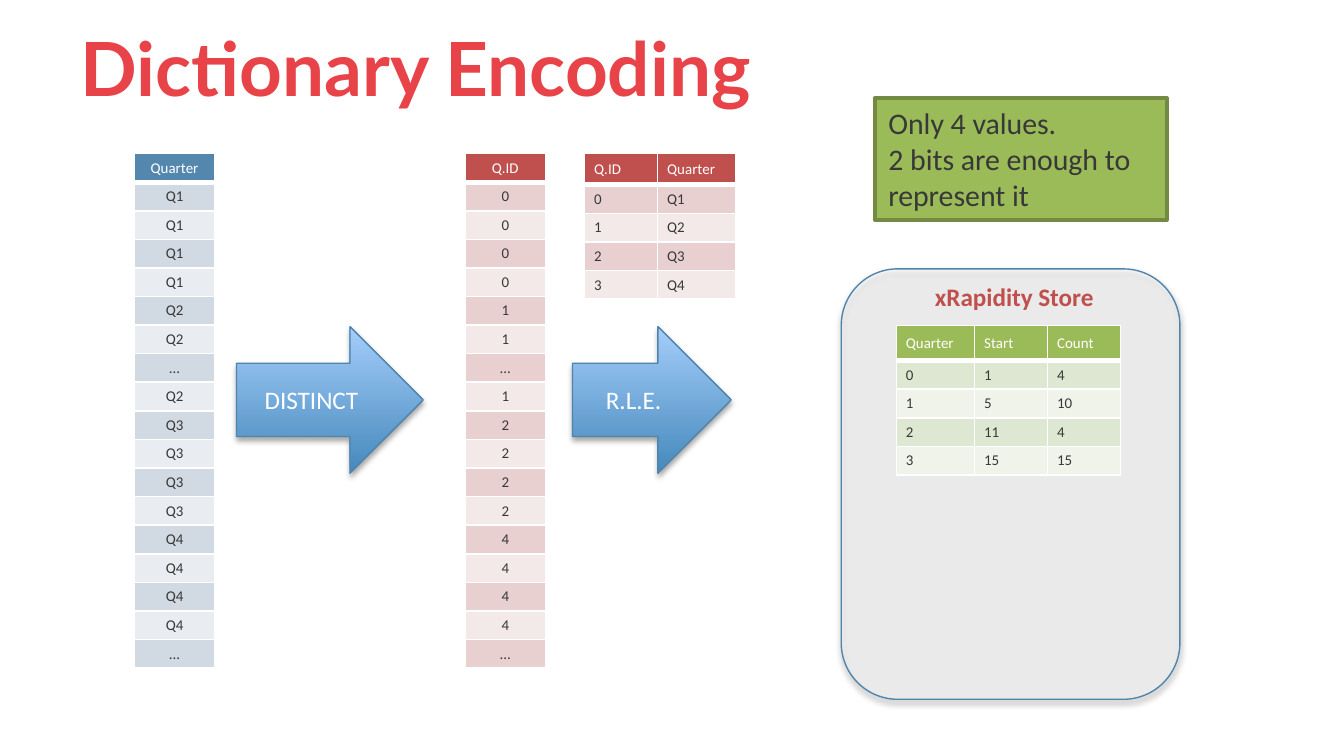
from lxml.etree import SubElement
from pptx import Presentation
from pptx.dml.color import RGBColor
from pptx.enum.shapes import MSO_SHAPE
from pptx.enum.text import MSO_ANCHOR, PP_ALIGN
from pptx.oxml.ns import qn
from pptx.util import Cm, Pt

WHITE, INK, RED, STEEL = "FFFFFF", "383838", "C0504D", "4F84AC"
# Header fill, then the fills of odd and even body rows
BLUE_BANDS = ("5387AE", "D1D9E3", "E9EDF2")
RED_BANDS = (RED, "E8D0D0", "F4E9E9")
GREEN_BANDS = ("9BBB59", "DEE7D1", "EFF3EA")
ROW_HEIGHT = 0.54


def rgb(color):
    return RGBColor.from_string(color)


def add_color(parent, color, alpha=None):
    clr = SubElement(parent, qn("a:srgbClr"), val=color)
    if alpha is not None:
        SubElement(clr, qn("a:alpha"), val=str(alpha * 1000))


class SlideBuilder:
    font = "Calibri"

    def __init__(self, slide):
        self.s = slide

    def format_text(self, tf, size, color, align=PP_ALIGN.LEFT, bold=False, font=None):
        for p in tf.paragraphs:
            p.alignment = align
            for r in p.runs:
                r.font.size, r.font.bold = Pt(size), bold
                r.font.name = font or self.font
                r.font.color.rgb = rgb(color)

    def title(self, text, x, y, w, h):
        sp = self.s.shapes.title
        sp.left, sp.top, sp.width, sp.height = Cm(x), Cm(y), Cm(w), Cm(h)
        tf = sp.text_frame
        tf.text = text
        tf.vertical_anchor = MSO_ANCHOR.MIDDLE
        self.format_text(tf, 40, "E84348", bold=True, font="Lato")

    def shape(self, kind, x, y, w, h, line, line_width):
        sp = self.s.shapes.add_shape(kind, Cm(x), Cm(y), Cm(w), Cm(h))
        sp.shadow.inherit = False
        sp.line.color.rgb = rgb(line)
        sp.line.width = Pt(line_width)
        return sp

    def drop_shadow(self, sp):
        effects = sp._element.spPr.find(qn("a:effectLst"))
        shadow = SubElement(effects, qn("a:outerShdw"), blurRad=str(Pt(3.1)),
                            dist=str(Pt(1.8)), dir="5400000", rotWithShape="0")
        add_color(shadow, "000000", 35)

    def panel(self, x, y, w, h):
        sp = self.shape(MSO_SHAPE.ROUNDED_RECTANGLE, x, y, w, h, STEEL, 0.75)
        sp.fill.solid()
        sp.fill.fore_color.rgb = rgb(WHITE)
        clr = sp._element.spPr.find(qn("a:solidFill"))[0]
        SubElement(clr, qn("a:alpha"), val="36000")
        self.drop_shadow(sp)

    def label(self, text, x, y, w, h):
        tf = self.s.shapes.add_textbox(Cm(x), Cm(y), Cm(w), Cm(h)).text_frame
        tf.text = text
        tf.word_wrap = False
        self.format_text(tf, 13.5, RED, bold=True)

    def note(self, text, x, y, w, h):
        sp = self.shape(MSO_SHAPE.RECTANGLE, x, y, w, h, "738A42", 2)
        sp.fill.solid()
        sp.fill.fore_color.rgb = rgb("9BBB59")
        tf = sp.text_frame
        tf.text = text
        tf.vertical_anchor = MSO_ANCHOR.TOP
        self.format_text(tf, 16, INK)

    def arrow(self, text, x, y, w, h):
        sp = self.shape(MSO_SHAPE.RIGHT_ARROW, x, y, w, h, STEEL, 0.75)
        sp.fill.gradient()
        sp.fill.gradient_angle = 90
        for stop, color in zip(sp.fill.gradient_stops, ("4589BC", "A4CDFA")):
            stop.color.rgb = rgb(color)
        self.drop_shadow(sp)
        tf = sp.text_frame
        tf.text = text
        tf.vertical_anchor = MSO_ANCHOR.MIDDLE
        self.format_text(tf, 13.5, WHITE, PP_ALIGN.CENTER)

    def cell(self, cell, text, fill, is_header, align):
        cell.text = text
        cell.vertical_anchor = MSO_ANCHOR.MIDDLE
        cell.margin_left = cell.margin_right = Cm(0.18)
        cell.margin_top = cell.margin_bottom = Cm(0.09)
        self.format_text(cell.text_frame, 8, WHITE if is_header else INK, align)
        tcPr = cell._tc.get_or_add_tcPr()
        for side in "LRTB":
            width = 3 if is_header and side == "B" else 1
            ln = SubElement(tcPr, qn(f"a:ln{side}"), w=str(Pt(width)))
            add_color(SubElement(ln, qn("a:solidFill")), WHITE)
        cell.fill.solid()
        cell.fill.fore_color.rgb = rgb(fill)

    def table(self, rows, x, y, widths, bands, header_height=ROW_HEIGHT,
              align=PP_ALIGN.LEFT):
        height = header_height + ROW_HEIGHT * (len(rows) - 1)
        tbl = self.s.shapes.add_table(len(rows), len(widths), Cm(x), Cm(y),
                                      Cm(sum(widths)), Cm(height)).table
        for col, width in zip(tbl.columns, widths):
            col.width = Cm(width)
        for i, values in enumerate(rows):
            tbl.rows[i].height = Cm(ROW_HEIGHT if i else header_height)
            fill = bands[2 - i % 2] if i else bands[0]
            for j, value in enumerate(values):
                self.cell(tbl.cell(i, j), value, fill, i == 0, align)

    def column(self, header, values, x, y, bands):
        rows = [[value] for value in [header, *values]]
        self.table(rows, x, y, [1.52], bands, align=PP_ALIGN.CENTER)


def main():
    prs = Presentation()
    prs.slide_width, prs.slide_height = Cm(25.4), Cm(14.28)
    b = SlideBuilder(prs.slides.add_slide(prs.slide_layouts[5]))

    b.title("Dictionary Encoding", 1.27, 0.03, 24.13, 2.44)
    b.panel(15.9, 5.08, 6.4, 8.13)
    b.label("xRapidity Store", 17.42, 5.18, 3.89, 0.84)

    top, arrow_top, arrow_height = 2.9, 6.17, 2.77
    quarters = "Q1 Q1 Q1 Q1 Q2 Q2 … Q2 Q3 Q3 Q3 Q3 Q4 Q4 Q4 Q4 …".split()
    ids = "0 0 0 0 1 1 … 1 2 2 2 2 4 4 4 4 …".split()
    b.column("Quarter", quarters, 2.54, top, BLUE_BANDS)
    b.note("Only 4 values.\v2 bits are enough to\vrepresent it", 16.54, 1.85, 5.51, 2.31)
    b.arrow("DISTINCT", 4.47, arrow_top, 3.53, arrow_height)
    dictionary = [("Q.ID", "Quarter"), ("0", "Q1"), ("1", "Q2"), ("2", "Q3"), ("3", "Q4")]
    b.table(dictionary, 11.05, top, [1.38, 1.48], RED_BANDS, 0.59)
    b.column("Q.ID", ids, 8.79, top, RED_BANDS)
    b.arrow("R.L.E.", 10.82, arrow_top, 3, arrow_height)
    runs = [("Quarter", "Start", "Count"), ("0", "1", "4"), ("1", "5", "10"),
            ("2", "11", "4"), ("3", "15", "15")]
    b.table(runs, 16.94, 6.15, [1.48, 1.38, 1.38], GREEN_BANDS, 0.66)

    prs.save("out.pptx")


if __name__ == "__main__":
    main()
